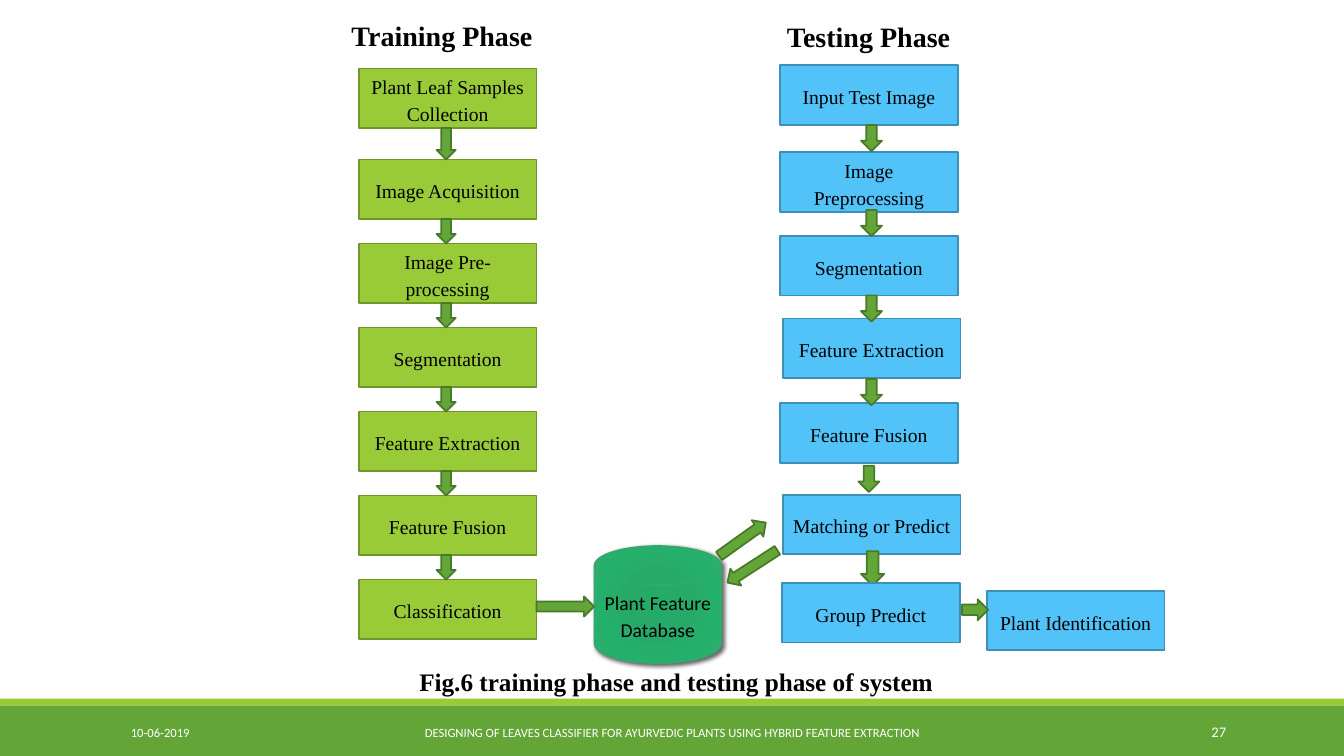
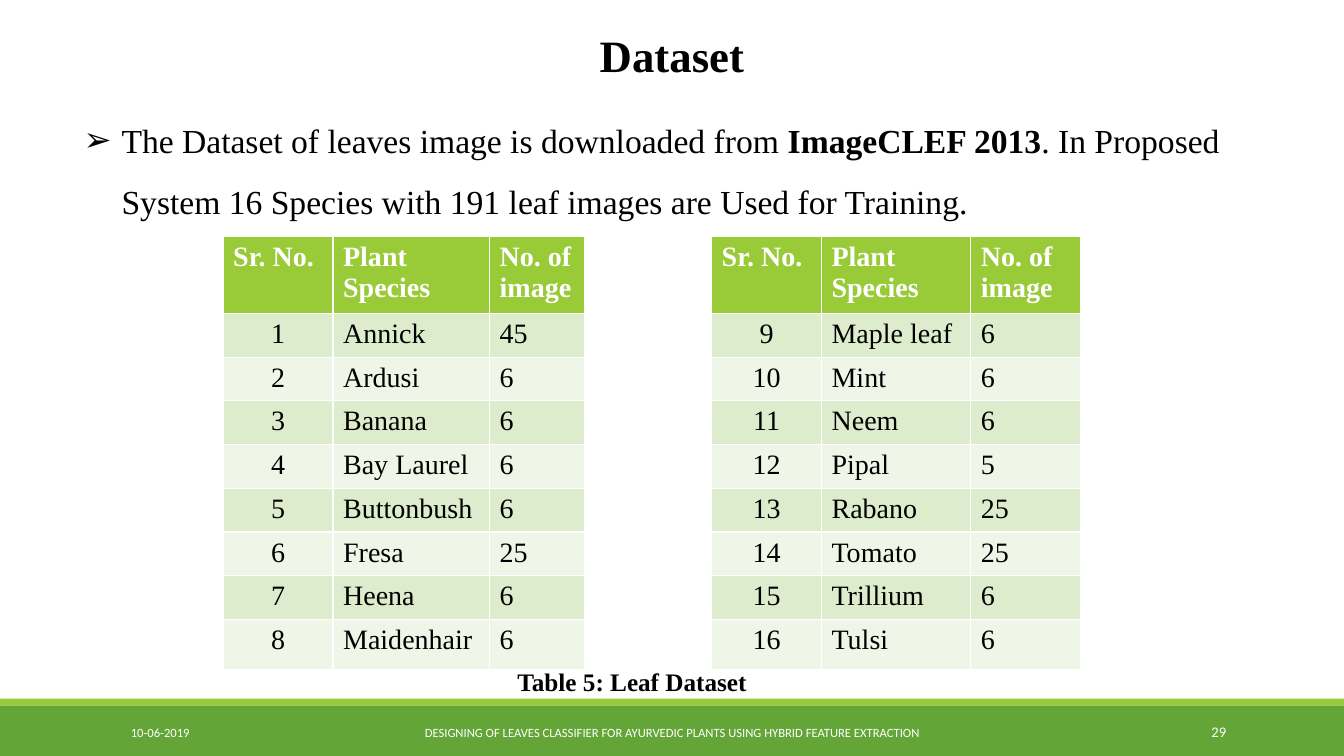
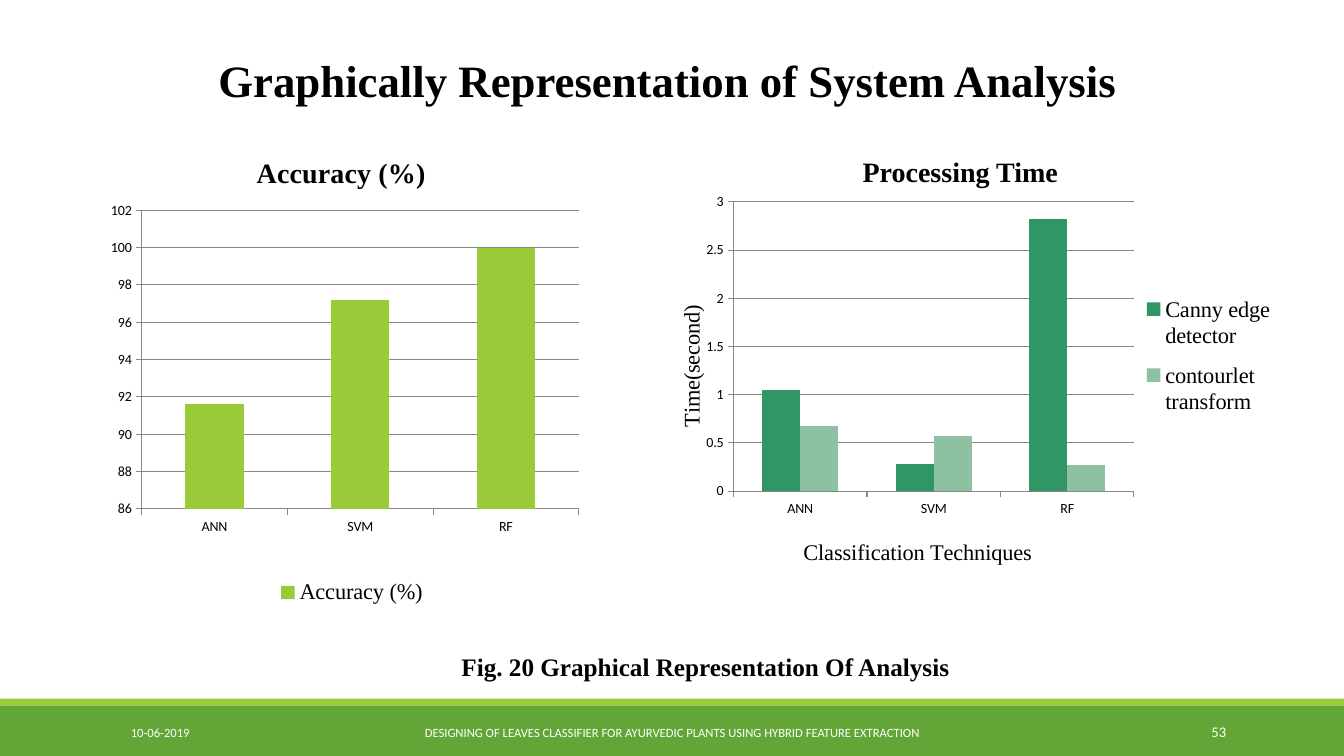
import lxml.etree as etree
import pptx
import pptx.chart.data
import pptx.dml.color
import pptx.enum.chart
import pptx.enum.shapes
import pptx.enum.text
import pptx.oxml.ns
import pptx.util

Pt = pptx.util.Pt
qn = pptx.oxml.ns.qn
rgb = pptx.dml.color.RGBColor.from_string
kinds = pptx.enum.shapes.MSO_SHAPE
sides = pptx.enum.text.PP_ALIGN
anchors = pptx.enum.text.MSO_ANCHOR

BLACK, WHITE, GREY = "000000", "FFFFFF", "878787"
GREEN, LIME, BLUE = "63A537", "99CB38", "51C3F9"
MOSS, OLIVE, NAVY = "497A29", "719629", "3C90B8"


def draw(slide, kind, box, fill, line=None, turn=0):
    """Add a flat preset shape; box is left, top, width, height."""
    shape = slide.shapes.add_shape(kind, *map(Pt, box))
    shape.shadow.inherit = False
    shape.rotation = turn
    shape.fill.solid()
    shape.fill.fore_color.rgb = rgb(fill)
    if line:
        shape.line.color.rgb = rgb(line)
        shape.line.width = Pt(1.25)
    else:
        shape.line.fill.background()
    return shape


def write(frame, text, size, bold=False, align=None, tint=BLACK, face="Times New Roman"):
    """Fill a text frame with one paragraph and return it."""
    frame.word_wrap = True
    frame.text = text
    para = frame.paragraphs[0]
    para.alignment = align
    para.font.size = Pt(size)
    para.font.bold = bold
    para.font.name = face
    para.font.color.rgb = rgb(tint)
    return para


deck = pptx.Presentation()
deck.slide_width, deck.slide_height = Pt(960), Pt(540)
flow, data, graphs = [deck.slides.add_slide(deck.slide_layouts[n]) for n in (6, 1, 5)]

# Bands on the master
tree = deck.slide_master.shapes.element
for mark, (top, height, fill) in enumerate([(504, 36, GREEN), (499, 5, LIME)], 101):
    band = draw(flow, kinds.RECTANGLE, (0, top, 960, height), fill).element
    band.nvSpPr.cNvPr.set("id", str(mark))
    tree.insert(2, band)

# Footers
topic = "DESIGNING OF LEAVES CLASSIFIER FOR AYURVEDIC PLANTS USING HYBRID FEATURE EXTRACTION"
for slide, number in (flow, "27"), (data, "29"), (graphs, "53"):
    for text, left, width, size, align in [
        ("10-06-2019", 86.4, 194, 9, sides.LEFT),
        (topic, 290, 380, 9, sides.CENTER),
        (number, 780, 103, 10.5, sides.RIGHT),
    ]:
        note = slide.shapes.add_textbox(Pt(left), Pt(508.5), Pt(width), Pt(28.8))
        note.text_frame.vertical_anchor = anchors.MIDDLE
        write(note.text_frame, text, size, align=align, tint=WHITE, face="Calibri")

# Slide titles
for slide, text, box in [
    (data, "Dataset", (159, 16.5, 642, 46)),
    (graphs, "Graphically Representation of System Analysis", (75, 34, 804, 46)),
]:
    title = slide.shapes.title
    title.left, title.top, title.width, title.height = map(Pt, box)
    title.text_frame.auto_size = pptx.enum.text.MSO_AUTO_SIZE.NONE
    title.text_frame.vertical_anchor = anchors.TOP
    write(title.text_frame, text, 32, True, sides.CENTER)

# Headings and captions
for slide, text, box, size, align in [
    (flow, "Training Phase", (244, 9.4, 158, 32), 20, sides.LEFT),
    (flow, "Testing Phase", (555, 10.2, 140, 32), 20, sides.LEFT),
    (flow, "Fig.6 training phase and testing phase of system", (193, 472.5, 580, 29), 18, sides.CENTER),
    (data, "Table 5: Leaf Dataset", (339, 472.5, 225, 29), 18, sides.CENTER),
    (graphs, "Processing Time", (609, 106.5, 168, 32), 20, sides.LEFT),
    (graphs, "Fig. 20 Graphical Representation Of Analysis", (322.5, 461.5, 400, 29), 18, sides.LEFT),
]:
    label = slide.shapes.add_textbox(*map(Pt, box))
    write(label.text_frame, text, size, True, align)

# Flow steps; an arrow is kind, left, top, width, height, turn
WIDE, HIGH = 127, 42.5
down = kinds.DOWN_ARROW
train = ["Plant Leaf Samples Collection", "Image Acquisition", "Image Pre-processing",
         "Segmentation", "Feature Extraction", "Feature Fusion", "Classification"]
tops = [49] + [114 + 60 * n for n in range(6)]
steps = [(text, 256.3, top, LIME, OLIVE) for text, top in zip(train, tops)]
steps += [(text, left, top, BLUE, NAVY) for text, left, top in [
    ("Input Test Image", 557.2, 46.6),
    ("Image Preprocessing", 557.2, 108.7),
    ("Segmentation", 557.2, 168.6),
    ("Feature Extraction", 559.2, 227.5),
    ("Feature Fusion", 557.2, 288),
    ("Matching or Predict", 559.2, 353.3),
    ("Plant Identification", 704.9, 422),
    ("Group Predict", 558.6, 416.4),
]]
arrows = [(down, 311.8, top + HIGH, 13.7, after - top - HIGH, 0)
          for top, after in zip(tops, tops[1:])]
arrows += [(down, left, top, 15, 18.7, 0) for left, top in
           [(615, 89.3), (615, 150), (615, 211), (615, 270.8), (613.2, 332.8)]]
arrows += [
    (down, 615, 393.8, 16.6, 24.5, 0),
    (kinds.RIGHT_ARROW, 383.2, 426, 41.2, 14.4, 0),
    (kinds.RIGHT_ARROW, 509.8, 378, 41, 14.4, 324.5),
    (kinds.LEFT_ARROW, 516.2, 397.4, 42.5, 14.4, 327.1),
    (down, 689, 426.2, 15, 18.7, 270),
]

# Database disk with a radial fill and a soft shadow
disk = draw(flow, kinds.FLOWCHART_MAGNETIC_DISK, (424.6, 390, 90.5, 83.8), "24AB67", "37A76F")
disk.line.width = Pt(1)
disk.fill.gradient()
fade = disk.element.spPr.find(qn("a:gradFill"))
for part in list(fade):
    fade.remove(part)
stops = etree.SubElement(fade, qn("a:gsLst"))
for spot, tint in (0, "24AB67"), (34, "27AA68"), (70, "24B06A"), (100, "31AD6F"):
    stop = etree.SubElement(stops, qn("a:gs"), pos=str(spot * 1000))
    etree.SubElement(stop, qn("a:srgbClr"), val=tint)
ring = etree.SubElement(fade, qn("a:path"), {"path": "circle"})
etree.SubElement(ring, qn("a:fillToRect"), {side: "100000" for side in "ltrb"})
glow = etree.SubElement(disk.element.spPr.find(qn("a:effectLst")), qn("a:outerShdw"),
                        blurRad=str(Pt(3)), dist=str(Pt(2)), dir="2700000")
shade = etree.SubElement(glow, qn("a:srgbClr"), val=BLACK)
etree.SubElement(shade, qn("a:alpha"), val="60000")
texts = [write(disk.text_frame, "Plant Feature Database", 14, align=sides.CENTER, face="Calibri")]

# Boxes, then arrows, then the box that covers an arrow tip
for n, (text, left, top, fill, line) in enumerate(steps, 1):
    if n == len(steps):
        for kind, *box, turn in arrows:
            draw(flow, kind, box, GREEN, MOSS, turn)
    step = draw(flow, kinds.RECTANGLE, (left, top, WIDE, HIGH), fill, line)
    texts.append(write(step.text_frame, text, 14, align=sides.CENTER))
for para in texts:
    para.line_spacing = 1.15
    para.space_after = Pt(10)

# Dataset bullet
body = data.placeholders[1]
body.left, body.top, body.width, body.height = map(Pt, (52.6, 67.7, 850, 100))
body.text_frame.auto_size = pptx.enum.text.MSO_AUTO_SIZE.NONE
para = write(body.text_frame, "The Dataset of leaves image is downloaded from ", 24)
para.line_spacing = 1.5
para.space_before = Pt(0)
name = para.add_run()
name.text = "ImageCLEF 2013"
name.font.bold = True
para.add_run().text = ". In Proposed System 16 Species with 191 leaf images are Used for Training."
props = para._p.pPr
props.set("marL", str(Pt(27)))
props.set("indent", str(Pt(-27)))
bullet = etree.Element(qn("a:buChar"), char="➢")
props.find(qn("a:defRPr")).addprevious(bullet)

# Dataset tables
plants = [("Annick", 45), ("Ardusi", 6), ("Banana", 6), ("Bay Laurel", 6),
          ("Buttonbush", 6), ("Fresa", 25), ("Heena", 6), ("Maidenhair", 6),
          ("Maple leaf", 6), ("Mint", 6), ("Neem", 6), ("Pipal", 5),
          ("Rabano", 25), ("Tomato", 25), ("Trillium", 6), ("Tulsi", 6)]
rows = [(n, *plant) for n, plant in enumerate(plants, 1)]
head = ("Sr. No.", "Plant Species", "No. of image")
heights = [54.4] + [31.2] * 7 + [35.5]
for left, widths, part in [
    (159.4, (78.5, 111.8, 67.7), rows[:8]),
    (508.3, (78.5, 106.7, 78.5), rows[8:]),
]:
    table = data.shapes.add_table(9, 3, Pt(left), Pt(168.6), Pt(sum(widths)), Pt(sum(heights))).table
    for col, width in zip(table.columns, widths):
        col.width = Pt(width)
    for r, (height, row) in enumerate(zip(heights, [head] + part)):
        table.rows[r].height = Pt(height)
        for c, value in enumerate(row):
            cell = table.cell(r, c)
            cell.fill.solid()
            cell.fill.fore_color.rgb = rgb(LIME if r == 0 else "DEECCE" if r % 2 else "EFF6E8")
            write(cell.text_frame, str(value), 20, r == 0,
                  sides.CENTER if r and c == 0 else sides.LEFT, BLACK if r else WHITE)

# Charts; layouts are fractions of the chart area
types = pptx.enum.chart.XL_CHART_TYPE
ticks = pptx.enum.chart.XL_TICK_MARK
for kind, box, scale, series, heading, names, layout in [
    (types.COLUMN_STACKED, (52.6, 95.8, 382.3, 365.8), (86, 102, 2),
     [("Accuracy (%)", (91.6, 97.2, 100), LIME)], "Accuracy (%)", (),
     {"c:plotArea": (0.127, 0.149, 0.817, 0.583), "c:legend": (0.36, 0.85, 0.32, 0.09)}),
    (types.COLUMN_CLUSTERED, (452.2, 134.6, 475.2, 292.3), (0, 3, 0.5),
     [("Canny edge detector", (1.05, 0.28, 2.82), "309663"),
      ("contourlet transform", (0.67, 0.57, 0.27), "8EC1A2")],
     None, ("Classification Techniques", "Time(second)"),
     {"c:plotArea": (0.151, 0.033, 0.602, 0.707), "c:legend": (0.75, 0.23, 0.23, 0.36),
      "c:catAx/c:title": (0.25, 0.845), "c:valAx/c:title": (0.06, 0.275)}),
]:
    source = pptx.chart.data.CategoryChartData()
    source.categories = ["ANN", "SVM", "RF"]
    for name, values, _ in series:
        source.add_series(name, values)
    chart = graphs.shapes.add_chart(kind, *map(Pt, box), source).chart
    chart.font.size, chart.font.name = Pt(10), "Calibri"
    chart.font.color.rgb = rgb(BLACK)
    chart.has_title = bool(heading)
    if heading:
        write(chart.chart_title.text_frame, heading, 20, True)

    # Bars
    plot = chart.plots[0]
    plot.gap_width = 150
    plot.overlap = 100 if kind == types.COLUMN_STACKED else 0
    plot.vary_by_categories = False
    for bar, (_, _, tint) in zip(plot.series, series):
        bar.format.fill.solid()
        bar.format.fill.fore_color.rgb = rgb(tint)

    # Axes
    axes = chart.category_axis, chart.value_axis
    grid = axes[1].major_gridlines
    axes[1].minimum_scale, axes[1].maximum_scale, axes[1].major_unit = scale
    for item in (*axes, grid):
        item.format.line.color.rgb = rgb(GREY)
        item.format.line.width = Pt(0.75)
    for axis in axes:
        axis.major_tick_mark = ticks.OUTSIDE
    for axis, name in zip(axes, names):
        write(axis.axis_title.text_frame, name, 16)
    for frame in chart.element.xpath(".//c:valAx/c:title//a:bodyPr"):
        frame.set("rot", "-5400000")
        frame.set("vert", "horz")

    # Legend
    chart.has_legend = True
    chart.legend.position = pptx.enum.chart.XL_LEGEND_POSITION.RIGHT
    chart.legend.include_in_layout = False
    chart.legend.font.size, chart.legend.font.name = Pt(16), "Times New Roman"
    chart.legend.font.color.rgb = rgb(BLACK)

    # Manual layout of the parts
    for route, spots in layout.items():
        part = chart.element.xpath(".//" + route)[0]
        for old in part.findall(qn("c:layout")):
            part.remove(old)
        first = [n for n, child in enumerate(part, 1)
                 if child.tag in (qn("c:tx"), qn("c:legendPos"))]
        place = etree.Element(qn("c:layout"))
        part.insert(first[0] if first else 0, place)
        manual = etree.SubElement(place, qn("c:manualLayout"))
        if route == "c:plotArea":
            etree.SubElement(manual, qn("c:layoutTarget"), val="inner")
        for mode in "xMode", "yMode":
            etree.SubElement(manual, qn("c:" + mode), val="edge")
        for key, spot in zip("xywh", spots):
            etree.SubElement(manual, qn("c:" + key), val=str(spot))

deck.save("out.pptx")
